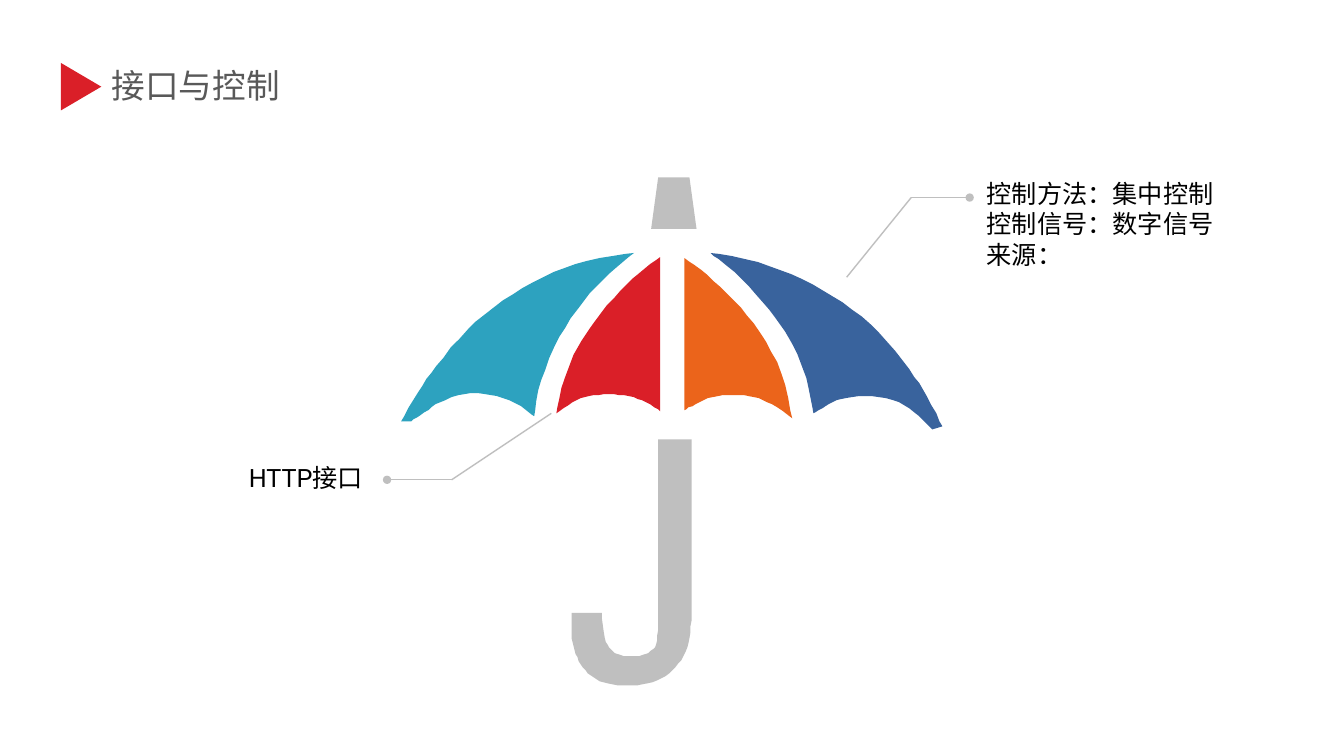
from dataclasses import dataclass

from lxml.etree import SubElement
from pptx import Presentation
from pptx.dml.color import RGBColor
from pptx.enum.shapes import MSO_CONNECTOR, MSO_SHAPE
from pptx.enum.text import MSO_AUTO_SIZE, PP_ALIGN
from pptx.oxml.ns import qn
from pptx.util import Pt


@dataclass(frozen=True)
class Theme:
    teal: str = "2DA2BF"
    red: str = "DA1F28"
    orange: str = "EB641B"
    blue: str = "39639D"
    grey: str = "BFBFBF"
    title_ink: str = "595959"
    body_ink: str = "000000"
    title_size: int = 24
    body_size: int = 18
    title_font: str = "Noto Sans CJK SC"
    body_font: str = "Roboto"
    east_asian_font: str = "Noto Sans CJK SC"


@dataclass(frozen=True)
class Box:
    left: float
    top: float
    width: float
    height: float


THEME = Theme()

# Each outline is a chain of edges on a grid of 0.72 pt, from the umbrella's
# top left; an edge with more than two points is drawn as a smooth curve.
GRID = 0.72
UMBRELLA_PARTS = [
    (THEME.teal, [
        [(231, 75), (207, 95), (181, 123), (157, 158), (139, 201), (132, 237)],
        [(132, 237), (113, 224), (89, 216), (63, 215), (39, 223), (23, 233), (10, 242)],
        [(10, 242), (0, 242)],
        [(0, 242), (17, 213), (35, 187), (66, 151), (101, 122), (141, 99),
         (184, 83), (231, 75)],
    ]),
    (THEME.grey, [  # handle
        [(288, 260), (288, 436)],
        [(288, 436), (286, 457), (280, 475), (269, 489), (254, 499), (234, 504),
         (219, 504), (201, 501), (188, 494), (178, 483), (172, 469), (169, 452),
         (169, 432)],
        [(169, 432), (199, 432)],
        [(199, 432), (202, 457), (208, 468), (218, 474), (233, 475), (245, 472),
         (253, 463), (255, 445), (255, 436)],
        [(255, 436), (255, 260)],
    ]),
    (THEME.blue, [
        [(307, 75), (354, 84), (398, 101), (438, 124), (474, 154), (504, 190),
         (522, 218), (537, 247)],
        [(537, 247), (527, 250)],
        [(527, 250), (509, 233), (488, 221), (460, 217), (436, 220), (421, 227),
         (409, 234)],
        [(409, 234), (402, 199), (389, 167), (371, 139), (345, 108), (326, 90),
         (307, 75)],
    ]),
    (THEME.grey, [  # tip
        [(255, 0), (286, 0)],
        [(286, 0), (293, 51)],
        [(293, 51), (248, 51)],
    ]),
    (THEME.orange, [
        [(281, 80), (304, 97), (330, 122), (356, 154), (377, 194), (388, 239)],
        [(388, 239), (368, 225), (350, 218), (329, 216), (309, 218), (292, 225),
         (281, 231)],
    ]),
    (THEME.red, [
        [(257, 79), (257, 232)],
        [(257, 232), (243, 223), (226, 217), (206, 215), (186, 217), (170, 223),
         (154, 234)],
        [(154, 234), (162, 200), (175, 169), (192, 143), (217, 113), (235, 96),
         (257, 79)],
    ]),
]


def smooth(edge, steps=4):
    """Points after the first one along a Catmull-Rom curve through the edge."""
    if len(edge) == 2:
        return edge[1:]
    padded = [edge[0], *edge, edge[-1]]
    points = []
    for a, b, c, d in zip(padded, padded[1:], padded[2:], padded[3:]):
        for step in range(1, steps + 1):
            t = step / steps
            points.append(tuple(
                q + t * (r - p) / 2
                + t**2 * (2 * p - 5 * q + 4 * r - s) / 2
                + t**3 * (3 * q - p - 3 * r + s) / 2
                for p, q, r, s in zip(a, b, c, d)))
    return points


def paint(shape, color):
    shape.shadow.inherit = False
    shape.fill.solid()
    shape.fill.fore_color.rgb = RGBColor.from_string(color)
    shape.line.fill.background()


def add_text(page, box, lines, font, size, color, align=PP_ALIGN.LEFT):
    frame = page.shapes.add_textbox(
        Pt(box.left), Pt(box.top), Pt(box.width), Pt(box.height)).text_frame
    frame.word_wrap = True
    frame.auto_size = MSO_AUTO_SIZE.SHAPE_TO_FIT_TEXT
    for index, line in enumerate(lines):
        para = frame.add_paragraph() if index else frame.paragraphs[0]
        para.alignment = align
        span = para.add_run()
        span.text = line
        span.font.name = font
        span.font.size = Pt(size)
        span.font.color.rgb = RGBColor.from_string(color)
        SubElement(span.font._element, qn("a:ea"), typeface=THEME.east_asian_font)


def add_leader(page, start, end, dotted=False):
    leader = page.shapes.add_connector(
        MSO_CONNECTOR.STRAIGHT, *(Pt(value) for value in (*start, *end)))
    leader.line.color.rgb = RGBColor.from_string(THEME.grey)
    leader.line.width = Pt(1)
    if dotted:
        SubElement(leader.line._get_or_add_ln(), qn("a:tailEnd"), type="oval")
    SubElement(leader._element.spPr, qn("a:effectLst"))


def draw_title(page, box, title):
    # Marker triangle pointing at the title
    marker = page.shapes.add_shape(
        MSO_SHAPE.ISOSCELES_TRIANGLE,
        Pt(box.left), Pt(box.top + 5.04), Pt(33.84), Pt(28.8))
    marker.rotation = 90
    paint(marker, THEME.red)
    # Title text
    indent = 31.68
    text_box = Box(box.left + indent, box.top, box.width - indent, box.height)
    add_text(page, text_box, [title], THEME.title_font, THEME.title_size,
             THEME.title_ink)


def draw_umbrella(page, box):
    for color, edges in UMBRELLA_PARTS:
        builder = page.shapes.build_freeform(*edges[0][0], scale=Pt(GRID))
        for edge in edges:
            builder.add_line_segments(smooth(edge), close=edge is edges[-1])
        paint(builder.convert_to_shape(Pt(box.left), Pt(box.top)), color)


def draw_callout(page, box, lines, align, dot, bend, target):
    """Label in the box; leader points are offsets from its top left corner."""
    dot, bend, target = ((box.left + x, box.top + y) for x, y in (dot, bend, target))
    add_leader(page, target, bend)
    add_leader(page, bend, dot, dotted=True)
    add_text(page, box, lines, THEME.body_font, THEME.body_size, THEME.body_ink, align)


def main():
    deck = Presentation()
    deck.slide_width, deck.slide_height = Pt(960), Pt(540)
    page = deck.slides.add_slide(deck.slide_layouts[6])

    draw_umbrella(page, Box(286.56, 126.72, 386.64, 362.88))
    draw_callout(page, Box(43.2, 326.88, 223.2, 28.8), ["HTTP接口"], PP_ALIGN.RIGHT,
                 dot=(233.28, 15.84), bend=(279.36, 15.84), target=(350.64, -31.68))
    draw_callout(page, Box(697.68, 123.84, 223.2, 72.72),
                 ["控制方法：集中控制", "控制信号：数字信号", "来源："], PP_ALIGN.LEFT,
                 dot=(-5.04, 17.28), bend=(-46.8, 17.28), target=(-92.88, 74.16))
    draw_title(page, Box(41.04, 42.48, 266.4, 36), "接口与控制")

    deck.save("out.pptx")


if __name__ == "__main__":
    main()
